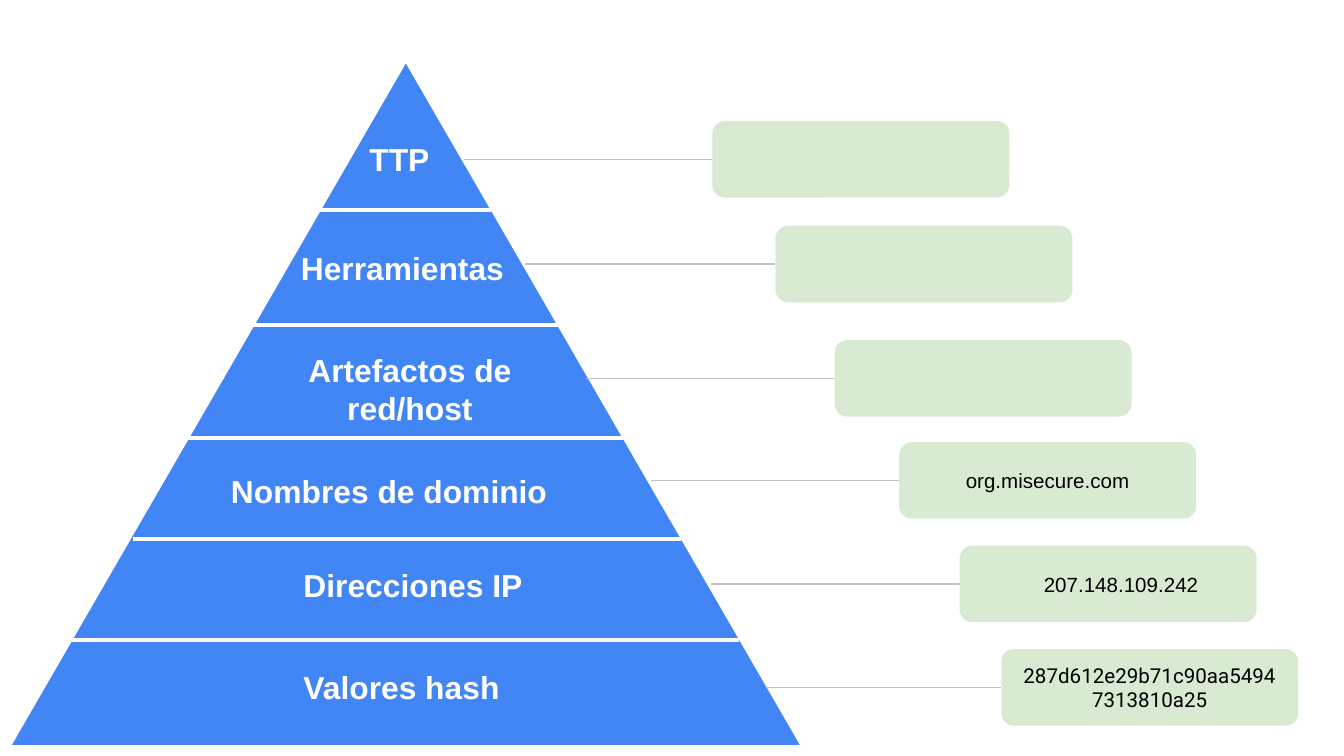
import pptx
import pptx.dml.color
import pptx.enum.shapes
import pptx.enum.text
import pptx.oxml
import pptx.oxml.ns
import pptx.util

Inches = pptx.util.Inches
SHAPE = pptx.enum.shapes.MSO_SHAPE
CONNECTOR = pptx.enum.shapes.MSO_CONNECTOR
ALIGN = pptx.enum.text.PP_ALIGN

SLIDE_WIDTH = 10
SLIDE_HEIGHT = SLIDE_WIDTH * 9 / 16
BLUE, WHITE, GREEN, GREY, BLACK = "4285F4", "FFFFFF", "D9EAD3", "C2C2C2", "000000"
CENTER = {"align": ALIGN.CENTER}
INDENTED = {"align": ALIGN.LEFT, "indent": 0.5}

# Top to bottom: label, label frame, label format, start of leader,
# left and top of example box, example, example font, example format
LEVELS = [
    ("TTP", (2.65, 0.94, 0.88, 0.49), {}, 3.45, (5.3, 0.9), "", "Arial", CENTER),
    ("Herramientas", (2.14, 1.75, 2.05, 0.49), {}, 3.91, (5.77, 1.68), "", "Arial", CENTER),
    ("Artefactos de red/host", (1.74, 2.51, 2.62, 0.77), CENTER, 4.36, (6.21, 2.53), "", "Arial", CENTER),
    ("Nombres de dominio", (1.62, 3.41, 2.78, 0.49), {}, 4.84, (6.69, 3.29),
     "org.misecure.com", "Arial", CENTER),
    ("Direcciones IP", (2.16, 4.11, 2.24, 0.49), {}, 5.29, (7.14, 4.06),
     "207.148.109.242", "Arial", INDENTED),
    ("Valores hash", (2.16, 4.87, 2.24, 0.49), {}, 5.7, (7.45, 4.83),
     "287d612e29b71c90aa54947313810a25", "Roboto", CENTER),
]
# Left end, right end, height on the slide
DIVIDERS = [(2.38, 3.65, 1.56), (1.88, 4.17, 2.42), (1.39, 4.64, 3.26),
            (0.99, 5.07, 4.01), (0.53, 5.5, 4.76)]
PYRAMID = (0.06, 0.44, 5.92, 5.12)
EXAMPLE_WIDTH, EXAMPLE_HEIGHT = 2.21, 0.57


def rgb(color):
    return pptx.dml.color.RGBColor.from_string(color)


def add_filled(shapes, kind, frame, color):
    shape = shapes.add_shape(kind, *map(Inches, frame))
    shape.shadow.inherit = False
    shape.fill.solid()
    shape.fill.fore_color.rgb = rgb(color)
    shape.line.fill.background()
    return shape


def add_level_line(shapes, kind, left, right, y, color, width):
    """Draw a horizontal connector without a shadow."""
    line = shapes.add_connector(kind, Inches(left), Inches(y), Inches(right), Inches(y))
    line.line.color.rgb = rgb(color)
    line.line.width = pptx.util.Pt(width)
    line._element.spPr.append(pptx.oxml.parse_xml(
        f'<a:effectLst {pptx.oxml.ns.nsdecls("a")}/>'))


def write(shape, text, size, font, color, bold=False, align=None, indent=0):
    frame = shape.text_frame
    frame.word_wrap = True
    frame.margin_left = frame.margin_right = Inches(0.1)
    frame.margin_top = frame.margin_bottom = Inches(0.1)
    paragraph = frame.paragraphs[0]
    paragraph.alignment = align
    if indent:
        paragraph._p.get_or_add_pPr().set("marL", str(Inches(indent)))
    run = paragraph.add_run()
    run.text = text
    run.font.size = pptx.util.Pt(size)
    run.font.name = font
    run.font.bold = bold
    run.font.color.rgb = rgb(color)


def main():
    deck = pptx.Presentation()
    deck.slide_width, deck.slide_height = Inches(SLIDE_WIDTH), Inches(SLIDE_HEIGHT)
    shapes = deck.slides.add_slide(deck.slide_layouts[6]).shapes

    pyramid = shapes.add_group_shape().shapes
    triangle = add_filled(pyramid, SHAPE.ISOSCELES_TRIANGLE, PYRAMID, BLUE)
    triangle.line.color.rgb = rgb(WHITE)
    triangle.line.width = pptx.util.Pt(2.25)
    for left, right, y in DIVIDERS:
        add_level_line(pyramid, CONNECTOR.STRAIGHT, left, right, y, WHITE, 2.25)

    for label, frame, label_format, start, (left, top), example, font, example_format in LEVELS:
        label_box = shapes.add_textbox(*map(Inches, frame))
        write(label_box, label, 17, "Arial", WHITE, bold=True, **label_format)
        add_level_line(shapes, CONNECTOR.ELBOW, start, left, top + EXAMPLE_HEIGHT / 2, GREY, 0.75)
        example_box = add_filled(shapes, SHAPE.ROUNDED_RECTANGLE,
                                 (left, top, EXAMPLE_WIDTH, EXAMPLE_HEIGHT), GREEN)
        if example:
            example_box.text_frame.vertical_anchor = pptx.enum.text.MSO_ANCHOR.MIDDLE
            write(example_box, example, 11, font, BLACK, **example_format)

    deck.save("out.pptx")


if __name__ == "__main__":
    main()
